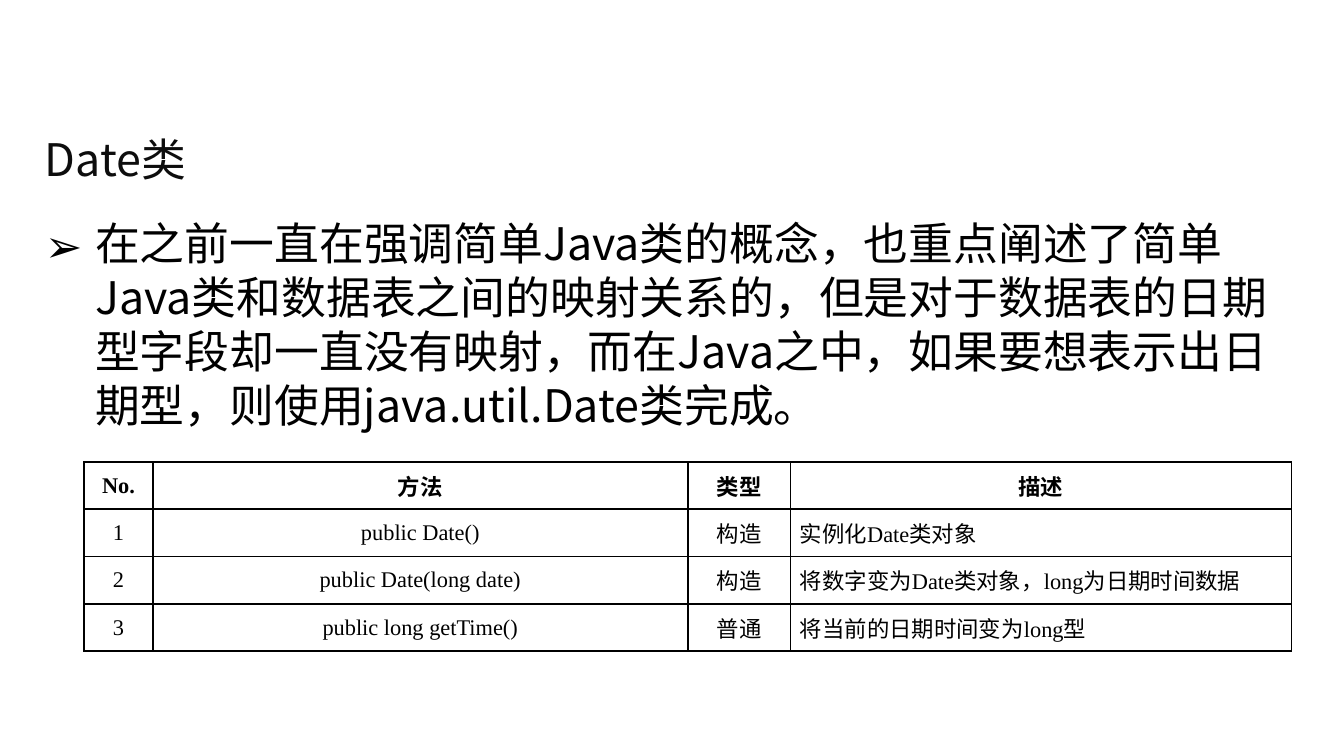
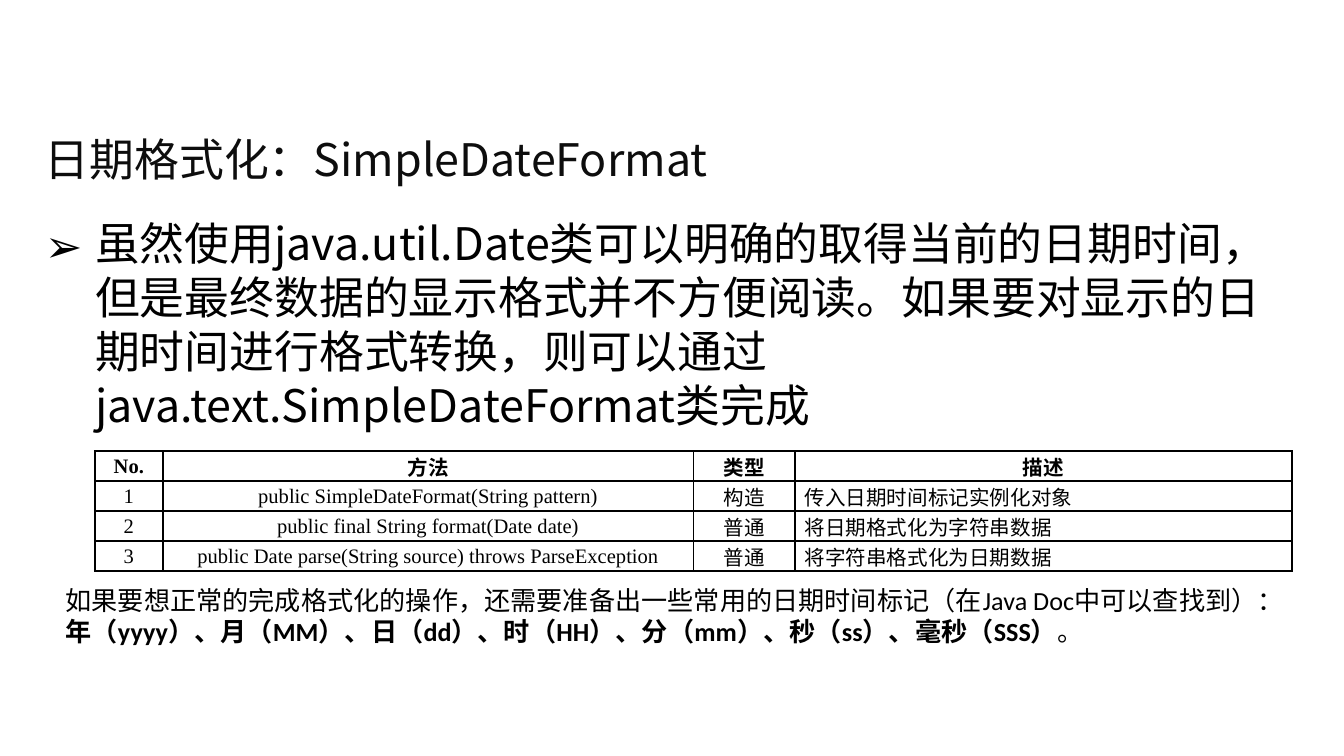
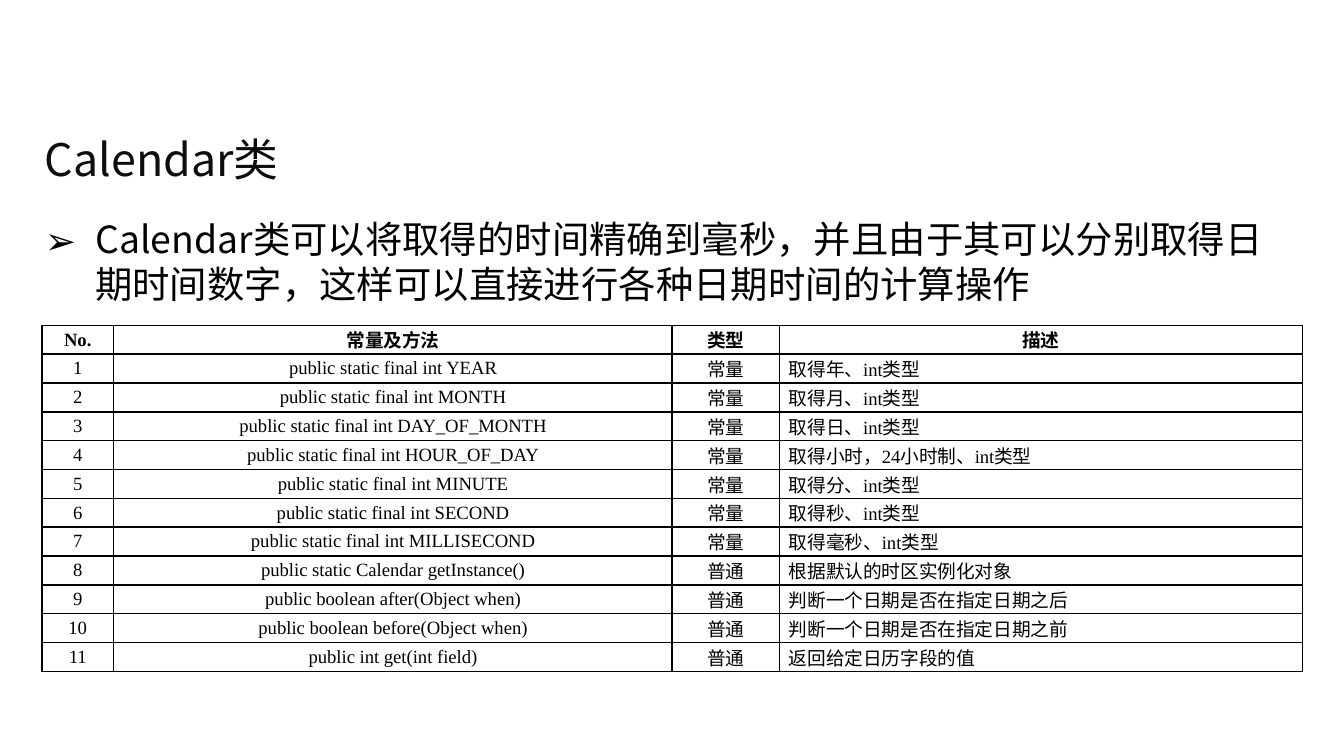
import dataclasses

import lxml.etree
import pptx
import pptx.dml.color
import pptx.enum.text
import pptx.oxml
import pptx.oxml.ns
import pptx.util

Cm = pptx.util.Cm
Pt = pptx.util.Pt
Align = pptx.enum.text.PP_ALIGN
Anchor = pptx.enum.text.MSO_ANCHOR
AutoSize = pptx.enum.text.MSO_AUTO_SIZE
qn = pptx.oxml.ns.qn


@dataclasses.dataclass(frozen=True)
class Theme:
    title_color: str = "0D0D0D"
    ink: str = "000000"
    east_font: str = "Noto Sans CJK SC"
    table_font: str = "Times New Roman"
    note_font: str = "Calibri"
    title_size: int = 24
    body_size: int = 24
    small_body_size: int = 20
    note_size: int = 14
    line_pitch: float = 1.2
    border: float = 1
    column_shares: tuple = (0.057, 0.443, 0.085, 0.415)


def apply_format(target, values):
    for name, value in values.items():
        setattr(target, name, value)


class DeckBuilder:
    def __init__(self, theme):
        self.theme = theme
        self.deck = pptx.Presentation()
        self.deck.slide_width, self.deck.slide_height = Cm(25.4), Cm(14.29)
        self.page = None

    def new_page(self):
        self.page = self.deck.slides.add_slide(self.deck.slide_layouts[6])

    def add_span(self, para, text, size, font, color=None, bold=False):
        span = para.add_run()
        span.text = text
        apply_format(span.font, {"size": Pt(size), "name": font, "bold": bold})
        span.font.color.rgb = pptx.dml.color.RGBColor.from_string(color or self.theme.ink)
        east = lxml.etree.SubElement(span.font._element, qn("a:ea"))
        east.set("typeface", self.theme.east_font)

    def add_box(self, left, top, width, height, **frame_format):
        box = self.page.shapes.add_textbox(Cm(left), Cm(top), Cm(width), Cm(height))
        apply_format(box.text_frame, {"word_wrap": True, **frame_format})
        return box.text_frame.paragraphs[0]

    def add_title(self, text):
        para = self.add_box(0.6, 2.18, 24.21, 1.63, vertical_anchor=Anchor.MIDDLE)
        self.add_span(para, text, self.theme.title_size, self.theme.east_font,
                      self.theme.title_color)

    def add_bullet(self, text, size):
        para = self.add_box(0.6, 3.96, 24.21, 8.94)
        properties = para._p.get_or_add_pPr()
        properties.set("marL", str(Cm(0.95)))
        properties.set("indent", str(Cm(-0.95)))
        for tag, name, value in (("a:buFont", "typeface", self.theme.east_font),
                                 ("a:buChar", "char", "➢")):
            lxml.etree.SubElement(properties, qn(tag)).set(name, value)
        para.line_spacing = Pt(size * self.theme.line_pitch)
        self.add_span(para, text, size, self.theme.east_font)

    def add_note(self, spans):
        para = self.add_box(0.99, 10.92, 23.62, 1.45,
                            auto_size=AutoSize.SHAPE_TO_FIT_TEXT)
        para.line_spacing = Pt(self.theme.note_size * self.theme.line_pitch)
        for text, bold in spans:
            self.add_span(para, text, self.theme.note_size, self.theme.note_font, bold=bold)

    def add_borders(self, cell):
        properties = cell._tc.get_or_add_tcPr()
        for index, side in enumerate("LRTB"):
            line = pptx.oxml.parse_xml(
                f'<a:ln{side} xmlns:a="http://schemas.openxmlformats.org/drawingml/2006/main"'
                f' w="{Pt(self.theme.border)}"><a:solidFill><a:srgbClr val="{self.theme.ink}"/>'
                f'</a:solidFill></a:ln{side}>')
            properties.insert(index, line)

    def add_method_table(self, left, top, width, height, size, heading, entries):
        rows = [("No.", heading, "类型", "描述")]
        rows += [(str(number), *entry) for number, entry in enumerate(entries, 1)]
        shares = self.theme.column_shares
        table = self.page.shapes.add_table(
            len(rows), len(shares), Cm(left), Cm(top), Cm(width), Cm(height)).table
        apply_format(table, {"first_row": False, "horz_banding": False})
        for column, share in zip(table.columns, shares):
            column.width = Cm(width * share)
        for row_index, row in enumerate(rows):
            table.rows[row_index].height = Cm(height / len(rows))
            for column_index, text in enumerate(row):
                cell = table.cell(row_index, column_index)
                apply_format(cell, {
                    "margin_left": Cm(0.18), "margin_right": Cm(0.18),
                    "margin_top": 0, "margin_bottom": 0,
                    "vertical_anchor": Anchor.MIDDLE})
                cell.fill.background()
                self.add_borders(cell)
                is_description = row_index > 0 and column_index == len(shares) - 1
                para = cell.text_frame.paragraphs[0]
                para.alignment = Align.JUSTIFY if is_description else Align.CENTER
                self.add_span(para, text, size, self.theme.table_font, bold=row_index == 0)


def build_date(builder):
    builder.new_page()
    builder.add_title("Date类")
    builder.add_bullet(
        "在之前一直在强调简单Java类的概念，也重点阐述了简单Java类和数据表之间的映射关系的，"
        "但是对于数据表的日期型字段却一直没有映射，而在Java之中，如果要想表示出日期型，"
        "则使用java.util.Date类完成。", builder.theme.body_size)
    builder.add_method_table(1.59, 8.73, 22.82, 3.58, 12, "方法", [
        ("public Date()", "构造", "实例化Date类对象"),
        ("public Date(long date)", "构造", "将数字变为Date类对象，long为日期时间数据"),
        ("public long getTime()", "普通", "将当前的日期时间变为long型"),
    ])


def build_date_format(builder):
    builder.new_page()
    builder.add_title("日期格式化：SimpleDateFormat")
    builder.add_bullet(
        "虽然使用java.util.Date类可以明确的取得当前的日期时间，"
        "但是最终数据的显示格式并不方便阅读。如果要对显示的日期时间进行格式转换，"
        "则可以通过java.text.SimpleDateFormat类完成", builder.theme.body_size)
    builder.add_method_table(1.79, 8.53, 22.63, 2.27, 11, "方法", [
        ("public SimpleDateFormat(String pattern)", "构造", "传入日期时间标记实例化对象"),
        ("public final String format(Date date)", "普通", "将日期格式化为字符串数据"),
        ("public Date parse(String source) throws ParseException", "普通",
         "将字符串格式化为日期数据"),
    ])
    builder.add_note([
        ("如果要想正常的完成格式化的操作，还需要准备出一些常用的日期时间标记"
         "（在Java Doc中可以查找到）：", False),
        ("年（yyyy）、月（MM）、日（dd）、时（HH）、分（mm）、秒（ss）、毫秒（SSS）", True),
        ("。", False),
    ])


def build_calendar(builder):
    builder.new_page()
    builder.add_title("Calendar类")
    builder.add_bullet(
        "Calendar类可以将取得的时间精确到毫秒，并且由于其可以分别取得日期时间数字，"
        "这样可以直接进行各种日期时间的计算操作", builder.theme.small_body_size)
    constants = [
        ("YEAR", "年"), ("MONTH", "月"), ("DAY_OF_MONTH", "日"),
        ("HOUR_OF_DAY", "小时，24小时制"), ("MINUTE", "分"),
        ("SECOND", "秒"), ("MILLISECOND", "毫秒"),
    ]
    entries = [(f"public static final int {name}", "常量", f"取得{unit}、int类型")
               for name, unit in constants]
    entries += [
        ("public static Calendar getInstance()", "普通", "根据默认的时区实例化对象"),
        ("public boolean after(Object when)", "普通", "判断一个日期是否在指定日期之后"),
        ("public boolean before(Object when)", "普通", "判断一个日期是否在指定日期之前"),
        ("public int get(int field)", "普通", "返回给定日历字段的值"),
    ]
    builder.add_method_table(0.79, 6.15, 23.83, 6.55, 10, "常量及方法", entries)


def main():
    builder = DeckBuilder(Theme())
    build_date(builder)
    build_date_format(builder)
    build_calendar(builder)
    builder.deck.save("out.pptx")


if __name__ == "__main__":
    main()
